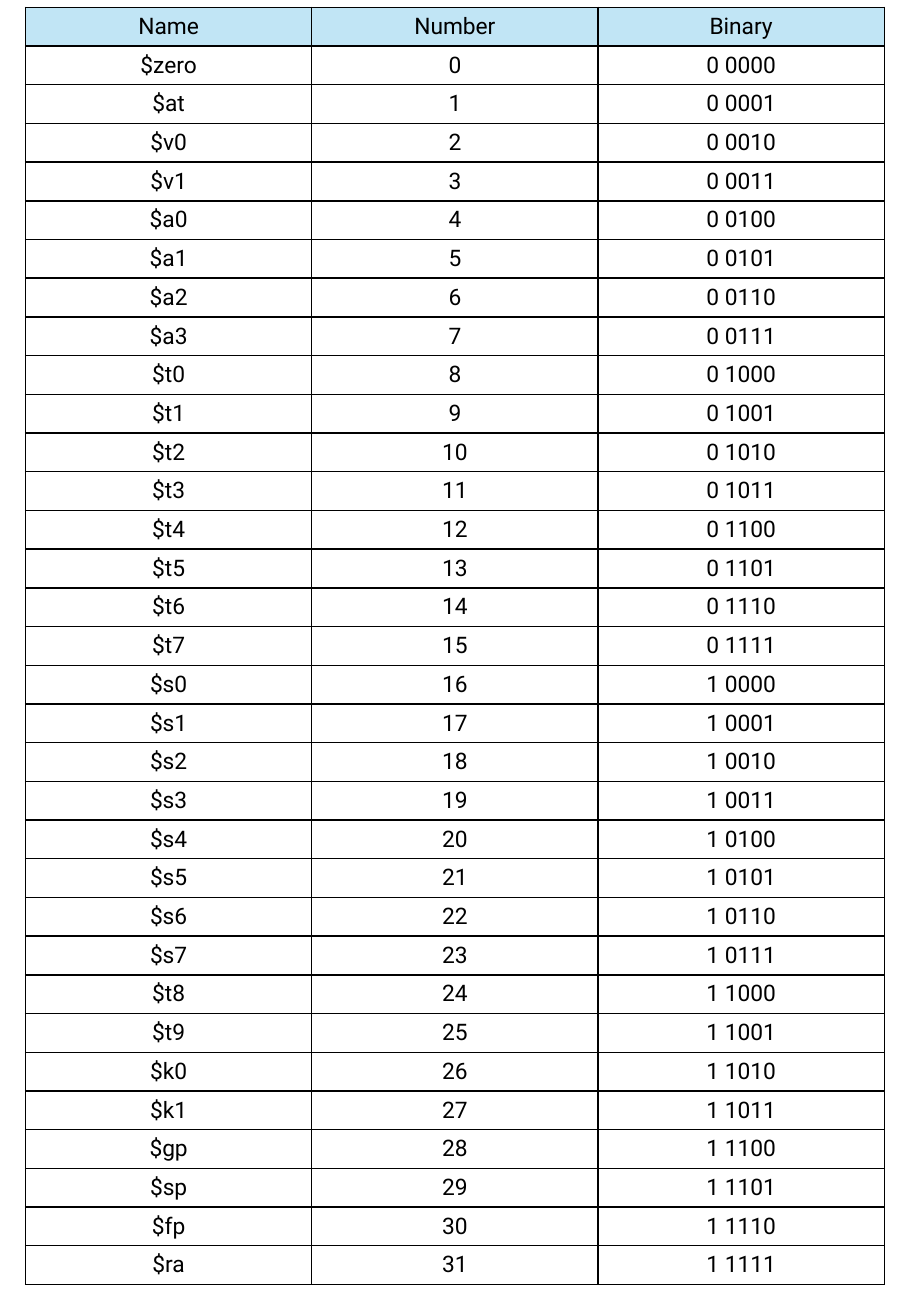
from dataclasses import dataclass
from typing import NamedTuple

from lxml import etree
from pptx import Presentation
from pptx.dml.color import RGBColor
from pptx.enum.text import MSO_ANCHOR, PP_ALIGN
from pptx.oxml.ns import qn
from pptx.util import Pt

CENTER = PP_ALIGN.CENTER
MIDDLE = MSO_ANCHOR.MIDDLE


@dataclass(frozen=True)
class Theme:
    font: str = "Roboto"
    size: float = 13.5
    ink: str = "000000"
    head: str = "C1E5F5"
    rule: float = 1


class Row(NamedTuple):
    name: str
    number: str
    binary: str


THEME = Theme()
LEFT, TOP = 15.12, 4.32
COL_WIDTH, ROW_HEIGHT = 169.7, 22.95
PAD = 3.5
NAMES = (
    "$zero $at $v0 $v1 $a0 $a1 $a2 $a3 $t0 $t1 $t2 $t3 $t4 $t5 $t6 $t7 "
    "$s0 $s1 $s2 $s3 $s4 $s5 $s6 $s7 $t8 $t9 $k0 $k1 $gp $sp $fp $ra"
).split()
HEAD = Row("Name", "Number", "Binary")
ROWS = [HEAD] + [
    Row(name, str(num), f"{num // 16} {num % 16:04b}")
    for num, name in enumerate(NAMES)
]


def add_rules(cell) -> None:
    """Draw a solid line on all four sides; lines must precede the fill."""
    props = cell._tc.get_or_add_tcPr()
    for spot, side in enumerate(("lnL", "lnR", "lnT", "lnB")):
        line = etree.Element(qn(f"a:{side}"), w=str(Pt(THEME.rule)))
        fill = etree.SubElement(line, qn("a:solidFill"))
        etree.SubElement(fill, qn("a:srgbClr"), val=THEME.ink)
        props.insert(spot, line)


def fill_cell(cell, text: str, is_head: bool) -> None:
    cell.margin_top = cell.margin_bottom = Pt(PAD)
    cell.vertical_anchor = MIDDLE
    if is_head:
        cell.fill.solid()
        cell.fill.fore_color.rgb = RGBColor.from_string(THEME.head)
    else:
        cell.fill.background()
    add_rules(cell)
    cell.text_frame.text = text
    para = cell.text_frame.paragraphs[0]
    para.alignment = CENTER
    font = para.runs[0].font
    font.name = THEME.font
    font.size = Pt(THEME.size)
    font.color.rgb = RGBColor.from_string(THEME.ink)


def add_grid(slide, rows: list[Row]) -> None:
    count, width = len(rows), len(HEAD)
    table = slide.shapes.add_table(
        count, width, Pt(LEFT), Pt(TOP),
        Pt(COL_WIDTH * width), Pt(ROW_HEIGHT * count),
    ).table
    table.first_row = table.horz_banding = False
    for col in table.columns:
        col.width = Pt(COL_WIDTH)
    for line, row in zip(table.rows, rows):
        line.height = Pt(ROW_HEIGHT)
        for cell, text in zip(line.cells, row):
            fill_cell(cell, text, row is HEAD)


def main() -> None:
    deck = Presentation()
    deck.slide_width, deck.slide_height = Pt(540), Pt(779.76)
    slide = deck.slides.add_slide(deck.slide_layouts[6])
    add_grid(slide, ROWS)
    deck.save("out.pptx")


if __name__ == "__main__":
    main()
